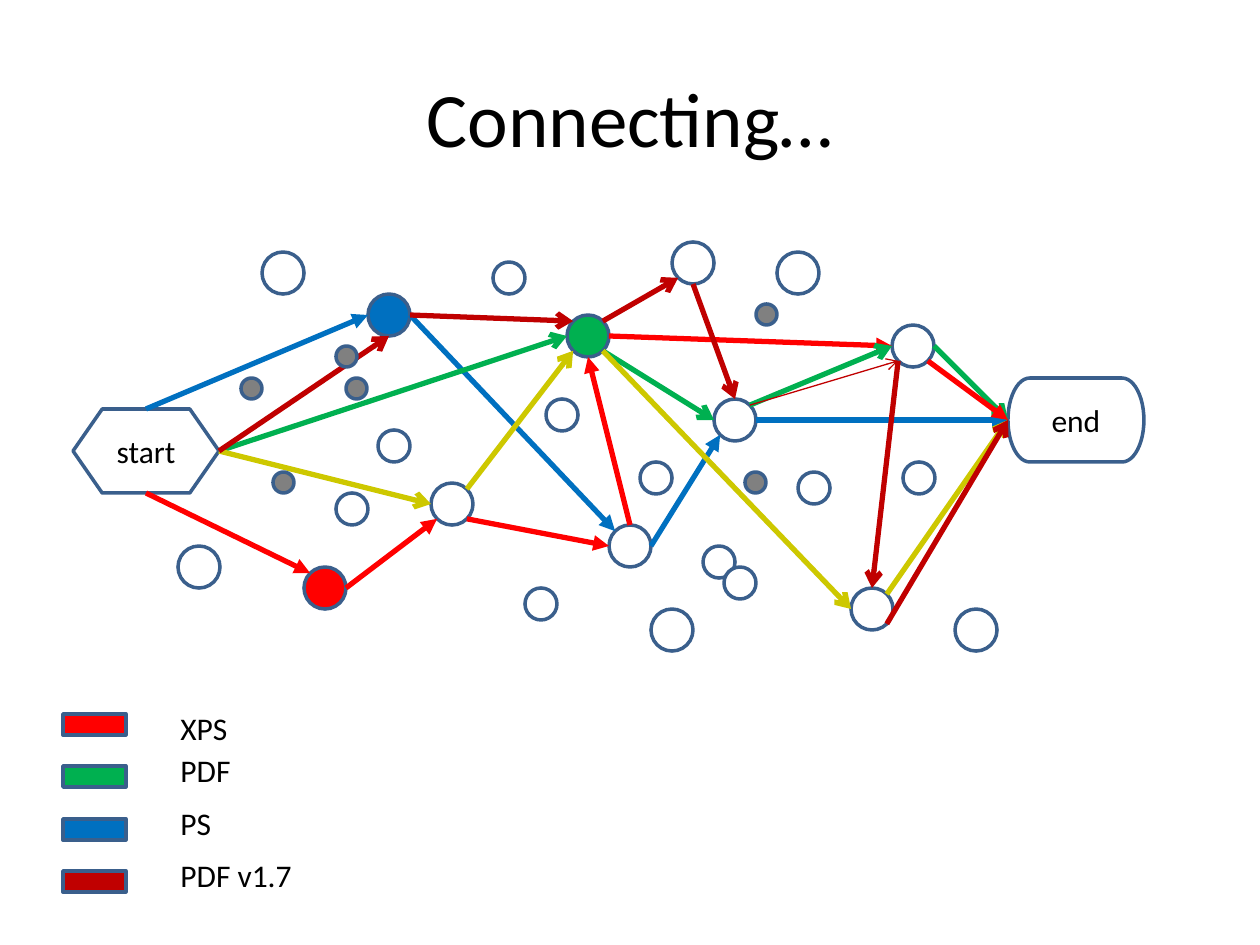
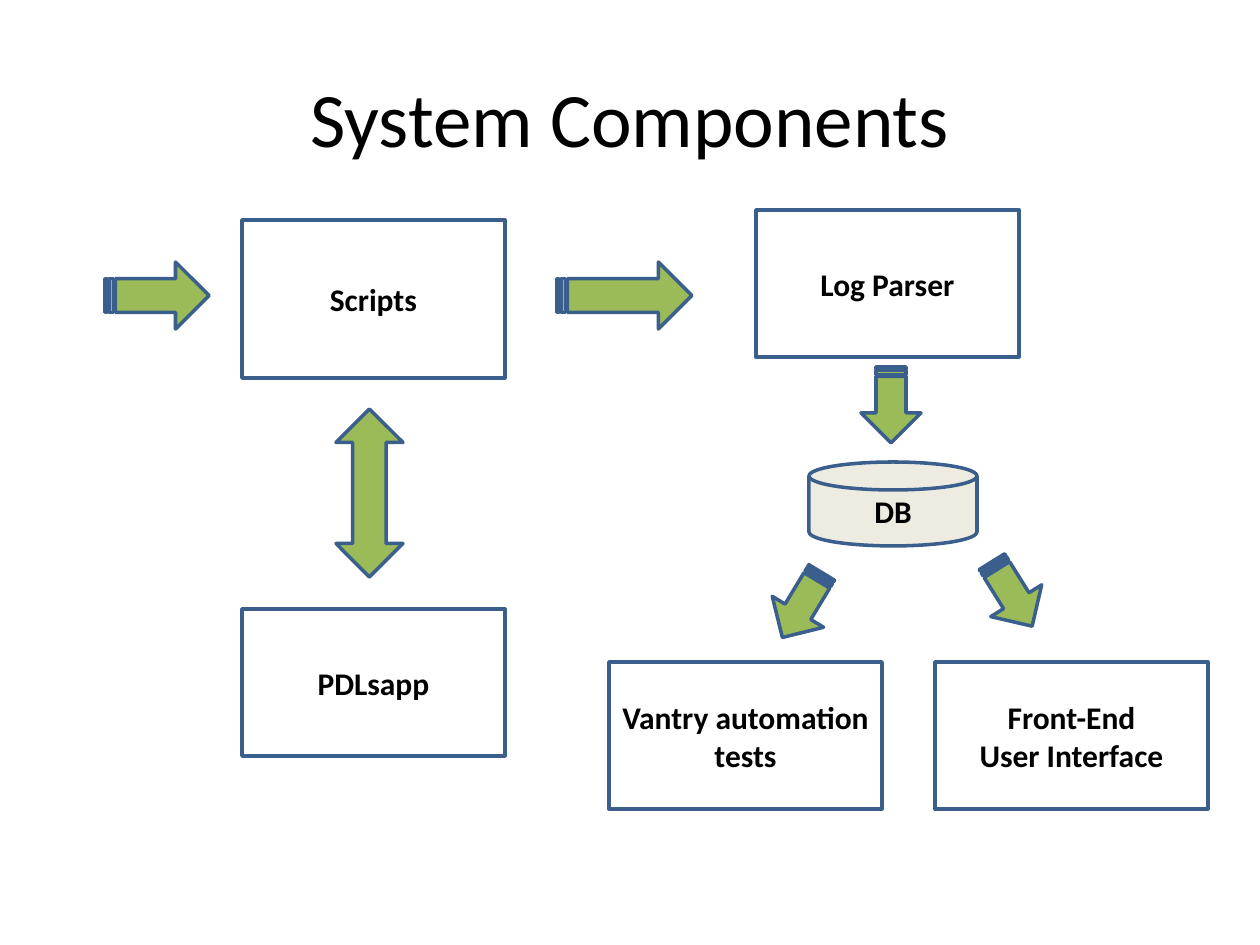
import math
from typing import NamedTuple, Optional

import lxml.etree
import pptx
import pptx.dml.color
import pptx.enum.shapes
import pptx.enum.text
import pptx.oxml.ns
import pptx.shapes.autoshape
import pptx.slide
import pptx.text.text
import pptx.util

RGB = pptx.dml.color.RGBColor
KIND = pptx.enum.shapes.MSO_SHAPE
ALIGN = pptx.enum.text.PP_ALIGN
MIDDLE = pptx.enum.text.MSO_ANCHOR.MIDDLE

BLACK = RGB(0x00, 0x00, 0x00)
WHITE = RGB(0xFF, 0xFF, 0xFF)
GRAY = RGB(0x80, 0x80, 0x80)
RED = RGB(0xFF, 0x00, 0x00)
GREEN = RGB(0x00, 0xB0, 0x50)
BLUE = RGB(0x00, 0x70, 0xC0)
MAROON = RGB(0xC0, 0x00, 0x00)
YELLOW = RGB(0xCD, 0xC8, 0x00)
LEAF = RGB(0x9B, 0xBB, 0x59)
CREAM = RGB(0xEE, 0xEC, 0xE1)
EDGE = RGB(0x3A, 0x5F, 0x8C)

FONT = "Calibri"
SCALE = 914400 / 126
TITLE_ONLY = 5
HUB = 42

ROUND_SITES = ["n", "nw", "w", "sw", "s", "se", "e", "ne"]
BLOCK_SITES = ["n", "w", "s", "e"]


class Item(NamedTuple):
    kind: KIND
    x: int
    y: int
    w: int
    h: int
    fill: Optional[RGB] = WHITE
    text: str = ""
    bold: bool = False
    turn: float = 0


class Link(NamedTuple):
    tint: RGB
    start: str
    leave: str
    end: str
    enter: str
    head: str = "arrow"
    width: float = 3


class Key(NamedTuple):
    name: str
    tint: RGB
    top: int


def px(size: float) -> pptx.util.Emu:
    return pptx.util.Emu(round(size * SCALE))


def write(frame: pptx.text.text.TextFrame, text: str, size: int = 18,
          bold: bool = False, align: ALIGN = ALIGN.CENTER) -> None:
    frame.word_wrap = True
    for count, words in enumerate(text.split("\n")):
        para = frame.add_paragraph() if count else frame.paragraphs[0]
        para.alignment = align
        run = para.add_run()
        run.text = words
        run.font.name = FONT
        run.font.size = pptx.util.Pt(size)
        run.font.bold = bold
        run.font.color.rgb = BLACK


def add_slide(deck: pptx.presentation.Presentation, text: str) -> pptx.slide.Slide:
    slide = deck.slides.add_slide(deck.slide_layouts[TITLE_ONLY])
    title = slide.shapes.title
    title.left, title.top, title.width, title.height = map(px, (63, 38, 1134, 157))
    title.text_frame.vertical_anchor = MIDDLE
    write(title.text_frame, text, 44)
    return slide


def draw(slide: pptx.slide.Slide, item: Item) -> pptx.shapes.autoshape.Shape:
    shape = slide.shapes.add_shape(item.kind, *map(px, (item.x, item.y, item.w, item.h)))
    shape.shadow.inherit = False
    shape.rotation = item.turn
    if item.fill is None:
        shape.fill.background()
    else:
        shape.fill.solid()
        shape.fill.fore_color.rgb = item.fill
    shape.line.color.rgb = EDGE
    shape.line.width = pptx.util.Pt(2)
    if item.text:
        shape.text_frame.vertical_anchor = MIDDLE
        write(shape.text_frame, item.text, bold=item.bold)
    return shape


def dot(x: int, y: int, size: int = HUB, fill: Optional[RGB] = WHITE) -> Item:
    return Item(KIND.FLOWCHART_CONNECTOR, x, y, size, size, fill)


def sites(item: Item) -> list[str]:
    return ROUND_SITES if item.kind == KIND.FLOWCHART_CONNECTOR else BLOCK_SITES


def point(item: Item, side: str) -> tuple[pptx.util.Emu, pptx.util.Emu]:
    angle = math.radians(45 * ROUND_SITES.index(side))
    return (px(item.x + item.w / 2 * (1 - math.sin(angle))),
            px(item.y + item.h / 2 * (1 - math.cos(angle))))


def join(slide: pptx.slide.Slide, link: Link, items: dict[str, Item],
         shapes: dict[str, pptx.shapes.autoshape.Shape]) -> None:
    line = slide.shapes.add_connector(
        pptx.enum.shapes.MSO_CONNECTOR.STRAIGHT,
        *point(items[link.start], link.leave), *point(items[link.end], link.enter))
    line.line.color.rgb = link.tint
    line.line.width = pptx.util.Pt(link.width)
    qn = pptx.oxml.ns.qn
    ends = line.element.find(".//" + qn("p:cNvCxnSpPr"))
    for tag, name, side in (("a:stCxn", link.start, link.leave),
                            ("a:endCxn", link.end, link.enter)):
        lxml.etree.SubElement(ends, qn(tag), id=str(shapes[name].shape_id),
                              idx=str(sites(items[name]).index(side)))
    frame = line.element.find(qn("p:spPr"))
    lxml.etree.SubElement(frame.find(qn("a:ln")), qn("a:tailEnd"), type=link.head)
    lxml.etree.SubElement(frame, qn("a:effectLst"))


NODES = {
    "red": dot(304, 567, fill=RED),
    "blue": dot(368, 294, fill=BLUE),
    "low": dot(431, 483),
    "green": dot(567, 315, fill=GREEN),
    "mid": dot(609, 525),
    "fork": dot(714, 399),
    "deep": dot(851, 588),
    "late": dot(892, 325, fill=None),
    "peak": dot(672, 242),
    "end": Item(KIND.FLOWCHART_TERMINATOR, 1008, 378, 136, 84, text="end"),
    "start": Item(KIND.FLOWCHART_PREPARATION, 73, 409, 146, 84, text="start"),
}

LINKS = [
    Link(BLUE, "start", "n", "blue", "w", "triangle"),
    Link(BLUE, "blue", "e", "mid", "nw", "triangle"),
    Link(BLUE, "mid", "e", "fork", "sw", "triangle"),
    Link(BLUE, "fork", "e", "end", "w", "triangle"),
    Link(RED, "start", "s", "red", "nw", "triangle"),
    Link(RED, "red", "e", "low", "sw", "triangle"),
    Link(RED, "low", "se", "mid", "w", "triangle"),
    Link(RED, "mid", "n", "green", "s", "triangle"),
    Link(RED, "green", "e", "late", "w", "triangle"),
    Link(GREEN, "start", "e", "green", "w"),
    Link(GREEN, "green", "se", "fork", "w"),
    Link(GREEN, "fork", "ne", "late", "w"),
    Link(GREEN, "late", "e", "end", "w"),
    Link(YELLOW, "start", "e", "low", "w"),
    Link(YELLOW, "low", "ne", "green", "sw"),
    Link(YELLOW, "green", "se", "deep", "w"),
    Link(YELLOW, "deep", "ne", "end", "w"),
    Link(RED, "late", "se", "end", "w", "triangle"),
    Link(MAROON, "start", "e", "blue", "s"),
    Link(MAROON, "blue", "e", "green", "nw"),
    Link(MAROON, "fork", "ne", "late", "sw", width=0.75),
    Link(MAROON, "late", "sw", "deep", "n"),
    Link(MAROON, "deep", "se", "end", "w"),
    Link(MAROON, "peak", "s", "fork", "n"),
    Link(MAROON, "green", "ne", "peak", "sw"),
]

LOOSE = [
    (HUB, WHITE, [(777, 252), (651, 609), (262, 252), (955, 609), (178, 546)]),
    (32, WHITE, [(336, 493), (378, 430), (546, 399), (640, 462), (525, 588),
                 (493, 262), (798, 472), (903, 462), (703, 546), (724, 567)]),
    (21, GRAY, [(346, 378), (336, 346), (241, 378), (273, 472), (756, 304), (745, 472)]),
]

KEYS = [
    Key("XPS", RED, 703),
    Key("PDF", GREEN, 745),
    Key("PS", BLUE, 798),
    Key("PDF v1.7", MAROON, 850),
]


def box(x: int, y: int, w: int, h: int, text: str) -> Item:
    return Item(KIND.RECTANGLE, x, y, w, h, text=text, bold=True)


def arrow(x: int, y: int, w: int, h: int, turn: float = 0) -> Item:
    return Item(KIND.STRIPED_RIGHT_ARROW, x, y, w, h, LEAF, turn=turn)


PARTS = [
    box(242, 609, 263, 147, "PDLsapp"),
    box(242, 220, 263, 158, "Scripts"),
    box(756, 210, 263, 147, "Log Parser"),
    box(935, 662, 273, 147, "Front-End\nUser Interface"),
    box(609, 662, 273, 147, "Vantry automation tests"),
    Item(KIND.FLOWCHART_MAGNETIC_DISK, 809, 462, 168, 84, CREAM, "DB", True),
    Item(KIND.UP_DOWN_ARROW, 336, 409, 67, 168, LEAF),
    arrow(105, 262, 104, 67),
    arrow(557, 262, 135, 67),
    arrow(853, 375, 76, 60, 90),
    arrow(764, 575, 76, 60, 121.1),
    arrow(974, 564, 76, 60, 58),
]


def draw_graph(slide: pptx.slide.Slide) -> None:
    shapes = {name: draw(slide, item) for name, item in NODES.items()}
    for link in LINKS:
        join(slide, link, NODES, shapes)
    for size, fill, spots in LOOSE:
        for x, y in spots:
            draw(slide, dot(x, y, size, fill))


def draw_keys(slide: pptx.slide.Slide) -> None:
    for row, key in enumerate(KEYS):
        draw(slide, Item(KIND.RECTANGLE, 63, 714 + 105 * row // 2, 63, 21, key.tint))
        label = slide.shapes.add_textbox(*map(px, (168, key.top, 158, 51)))
        label.text_frame.auto_size = pptx.enum.text.MSO_AUTO_SIZE.SHAPE_TO_FIT_TEXT
        write(label.text_frame, key.name, align=ALIGN.LEFT)


def main() -> None:
    deck = pptx.Presentation()
    deck.slide_width, deck.slide_height = px(1260), px(945)
    graph = add_slide(deck, "Connecting…")
    draw_graph(graph)
    draw_keys(graph)
    system = add_slide(deck, "System Components")
    for part in PARTS:
        draw(system, part)
    deck.save("out.pptx")


main()
